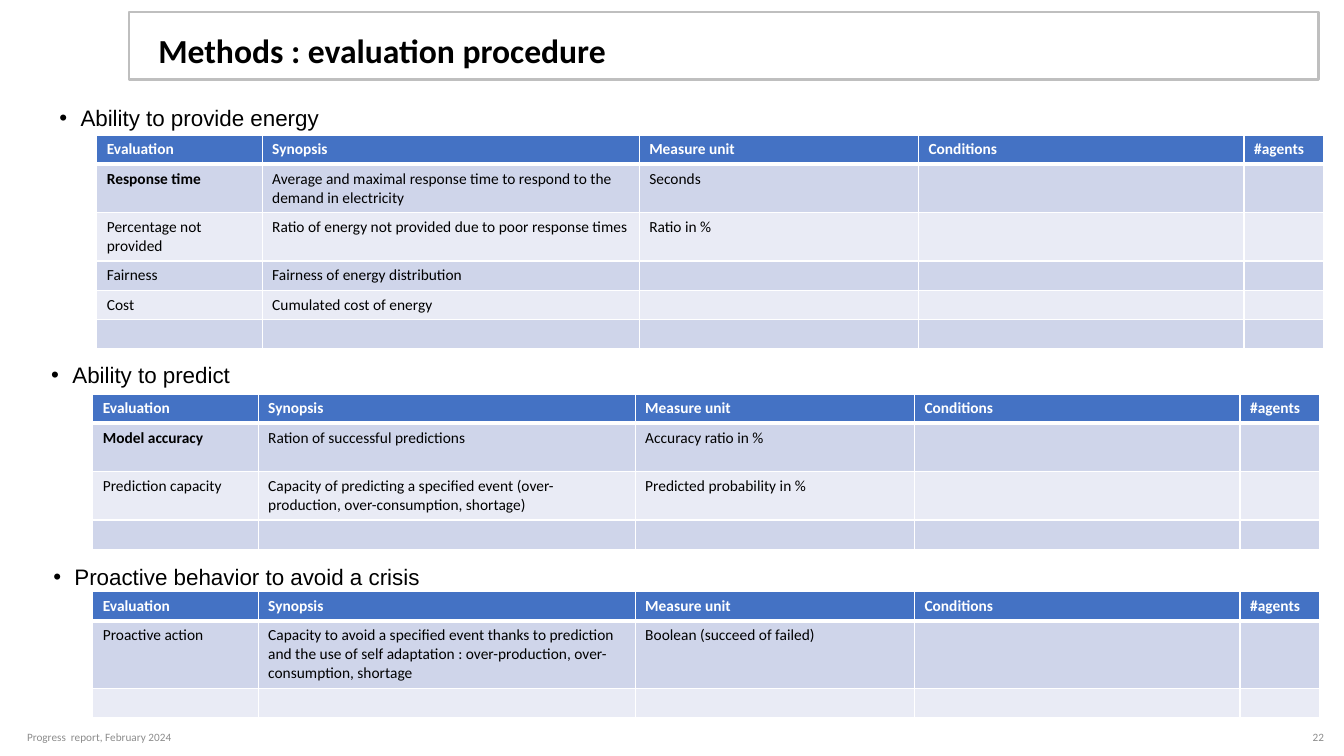
from lxml import etree
from pptx import Presentation
from pptx.dml.color import RGBColor
from pptx.enum.shapes import MSO_SHAPE
from pptx.enum.text import MSO_ANCHOR, MSO_AUTO_SIZE, PP_ALIGN
from pptx.oxml.ns import qn
from pptx.util import Inches, Pt

RECTANGLE = MSO_SHAPE.RECTANGLE
MIDDLE = MSO_ANCHOR.MIDDLE
LEFT, RIGHT = PP_ALIGN.LEFT, PP_ALIGN.RIGHT
NO_AUTOFIT = MSO_AUTO_SIZE.NONE

COLORS = {
    "text": "000000",
    "white": "FFFFFF",
    "frame": "BFBFBF",
    "header": "4472C4",
    "odd_row": "CFD5EA",
    "even_row": "E9EBF5",
    "footer": "8C8C8C",
}

HEADERS = ["Evaluation", "Synopsis", "Measure unit", "Conditions", "#agents"]
COLUMN_WIDTHS = [1.64, 3.74, 2.77, 3.23, 0.79]
LINE_HEIGHT = 0.19
ROW_PADDING = 0.1

# Each row: number of text lines, then the texts of its first cells
SECTIONS = [
    {
        "heading": "Ability to provide energy",
        "heading_at": (0.49, 1.01),
        "table_at": (0.96, 1.34),
        "bold_first": True,
        "rows": [
            (2, ["Response time",
                 "Average and maximal response time to respond to the demand in electricity",
                 "Seconds"]),
            (2, ["Percentage not provided",
                 "Ratio of energy not provided due to poor response times",
                 "Ratio in %"]),
            (1, ["Fairness", "Fairness of energy distribution"]),
            (1, ["Cost", "Cumulated cost of energy"]),
            (1, []),
        ],
    },
    {
        "heading": "Ability to predict",
        "heading_at": (0.41, 3.56),
        "table_at": (0.92, 3.91),
        "bold_first": True,
        "rows": [
            (2, ["Model accuracy", "Ration of successful predictions",
                 "Accuracy ratio in %"]),
            (2, ["Prediction capacity",
                 "Capacity of predicting a specified event "
                 "(over-production, over-consumption, shortage)",
                 "Predicted probability in %"]),
            (1, []),
        ],
    },
    {
        "heading": "Proactive behavior to avoid a crisis",
        "heading_at": (0.43, 5.57),
        "table_at": (0.92, 5.87),
        "bold_first": False,
        "rows": [
            (3, ["Proactive action",
                 "Capacity to avoid a specified event thanks to prediction and the use "
                 "of self adaptation : over-production, over-consumption, shortage",
                 "Boolean (succeed of failed)"]),
            (1, []),
        ],
    },
]


def color(name):
    return RGBColor.from_string(COLORS[name])


def format_runs(paragraph, size, color_name, font="Calibri", bold=False):
    for run in paragraph.runs:
        run.font.name = font
        run.font.size = Pt(size)
        run.font.bold = bold
        run.font.color.rgb = color(color_name)


def add_title(slide, text):
    title = slide.shapes.title
    title.left, title.top = Inches(1.47), Inches(0.28)
    title.width, title.height = Inches(11.42), Inches(0.48)
    text_frame = title.text_frame
    text_frame.text = text
    text_frame.auto_size = NO_AUTOFIT
    text_frame.vertical_anchor = MIDDLE
    paragraph = text_frame.paragraphs[0]
    paragraph.alignment = LEFT
    paragraph.line_spacing = 0.9
    format_runs(paragraph, 24, "text", bold=True)


def add_title_frame(slide):
    frame = slide.shapes.add_shape(
        RECTANGLE, Inches(1.28), Inches(0.12), Inches(11.8), Inches(0.67))
    frame.shadow.inherit = False
    frame.fill.background()
    frame.line.color.rgb = color("frame")
    frame.line.width = Pt(2)


def add_text(slide, text, left, top, width, height):
    box = slide.shapes.add_textbox(
        Inches(left), Inches(top), Inches(width), Inches(height))
    box.text_frame.word_wrap = True
    box.text_frame.text = text
    return box.text_frame


def add_heading(slide, text, left, top):
    paragraph = add_text(slide, text, left, top, 9.52, 0.49).paragraphs[0]
    paragraph.line_spacing = 0.9
    paragraph.space_before = Pt(8.4)
    format_runs(paragraph, 16, "text", font="Arial")
    properties = paragraph._p.get_or_add_pPr()
    properties.set("marL", str(Inches(0.21)))
    properties.set("indent", str(-Inches(0.21)))
    etree.SubElement(properties, qn("a:buFont"), typeface="Arial")
    etree.SubElement(properties, qn("a:buChar"), char="•")


def add_footer(slide, text, left, width, alignment):
    text_frame = add_text(slide, text, left, 7.16, width, 0.31)
    text_frame.vertical_anchor = MIDDLE
    paragraph = text_frame.paragraphs[0]
    paragraph.alignment = alignment
    format_runs(paragraph, 8, "footer")


def set_borders(cell, top, bottom):
    """Draw white cell borders; top and bottom widths are in points."""
    properties = cell._tc.get_or_add_tcPr()
    for side, width in (("L", 1), ("R", 1), ("T", top), ("B", bottom)):
        line = etree.SubElement(properties, qn(f"a:ln{side}"), w=str(Pt(width)))
        fill = etree.SubElement(line, qn("a:solidFill"))
        etree.SubElement(fill, qn("a:srgbClr"), val=COLORS["white"])


def fill_cell(cell, text, row_index, bold):
    is_header = row_index == 0
    set_borders(cell, top=3 if row_index == 1 else 1, bottom=3 if is_header else 1)
    fill_name = "header" if is_header else ("even_row", "odd_row")[row_index % 2]
    cell.fill.solid()
    cell.fill.fore_color.rgb = color(fill_name)
    if text:
        cell.text_frame.text = text
        format_runs(cell.text_frame.paragraphs[0], 11,
                    "white" if is_header else "text", bold=bold)
    else:
        paragraph = cell.text_frame.paragraphs[0]
        etree.SubElement(paragraph._p, qn("a:endParaRPr"), sz="1100")


def add_evaluation_table(slide, left, top, body_rows, bold_first):
    rows = [(1, HEADERS)] + body_rows
    heights = [ROW_PADDING + LINE_HEIGHT * lines for lines, _ in rows]
    table = slide.shapes.add_table(
        len(rows), len(HEADERS), Inches(left), Inches(top),
        Inches(sum(COLUMN_WIDTHS)), Inches(sum(heights))).table
    for column, width in zip(table.columns, COLUMN_WIDTHS):
        column.width = Inches(width)
    for row_index, (_, texts) in enumerate(rows):
        table.rows[row_index].height = Inches(heights[row_index])
        for column_index in range(len(HEADERS)):
            text = texts[column_index] if column_index < len(texts) else ""
            bold = row_index == 0 or (
                bold_first and row_index == 1 and column_index == 0)
            fill_cell(table.cell(row_index, column_index), text, row_index, bold)


def main():
    presentation = Presentation()
    presentation.slide_width = Inches(13.33)
    presentation.slide_height = Inches(7.5)
    slide = presentation.slides.add_slide(presentation.slide_layouts[5])

    add_title(slide, "Methods : evaluation procedure")
    add_title_frame(slide)
    for section in SECTIONS:
        add_heading(slide, section["heading"], *section["heading_at"])
        add_evaluation_table(
            slide, *section["table_at"], section["rows"], section["bold_first"])
    add_footer(slide, "Progress  report, February 2024", 0.17, 2.66, LEFT)
    add_footer(slide, "22", 12.71, 0.52, RIGHT)
    presentation.save("out.pptx")


if __name__ == "__main__":
    main()
